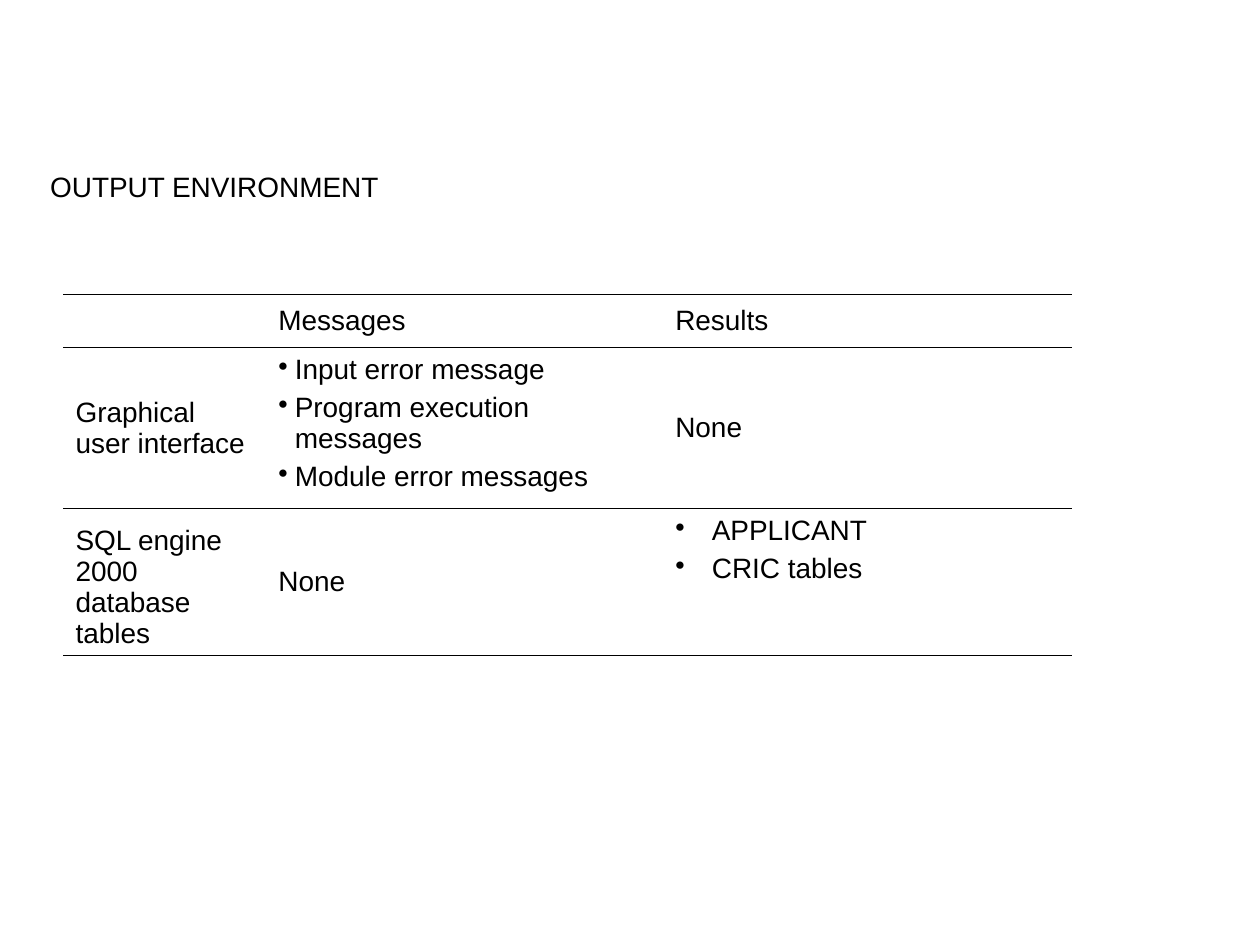
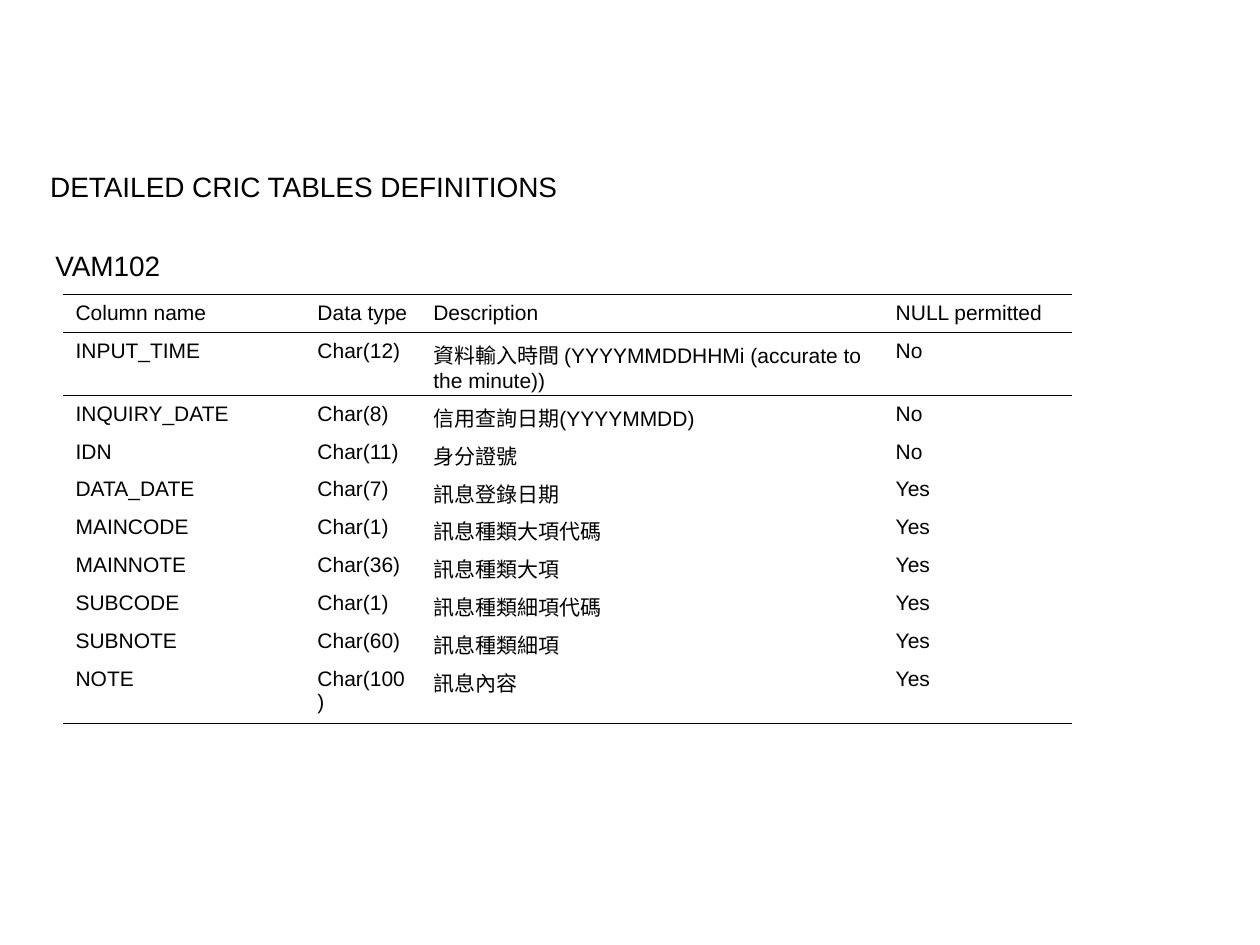
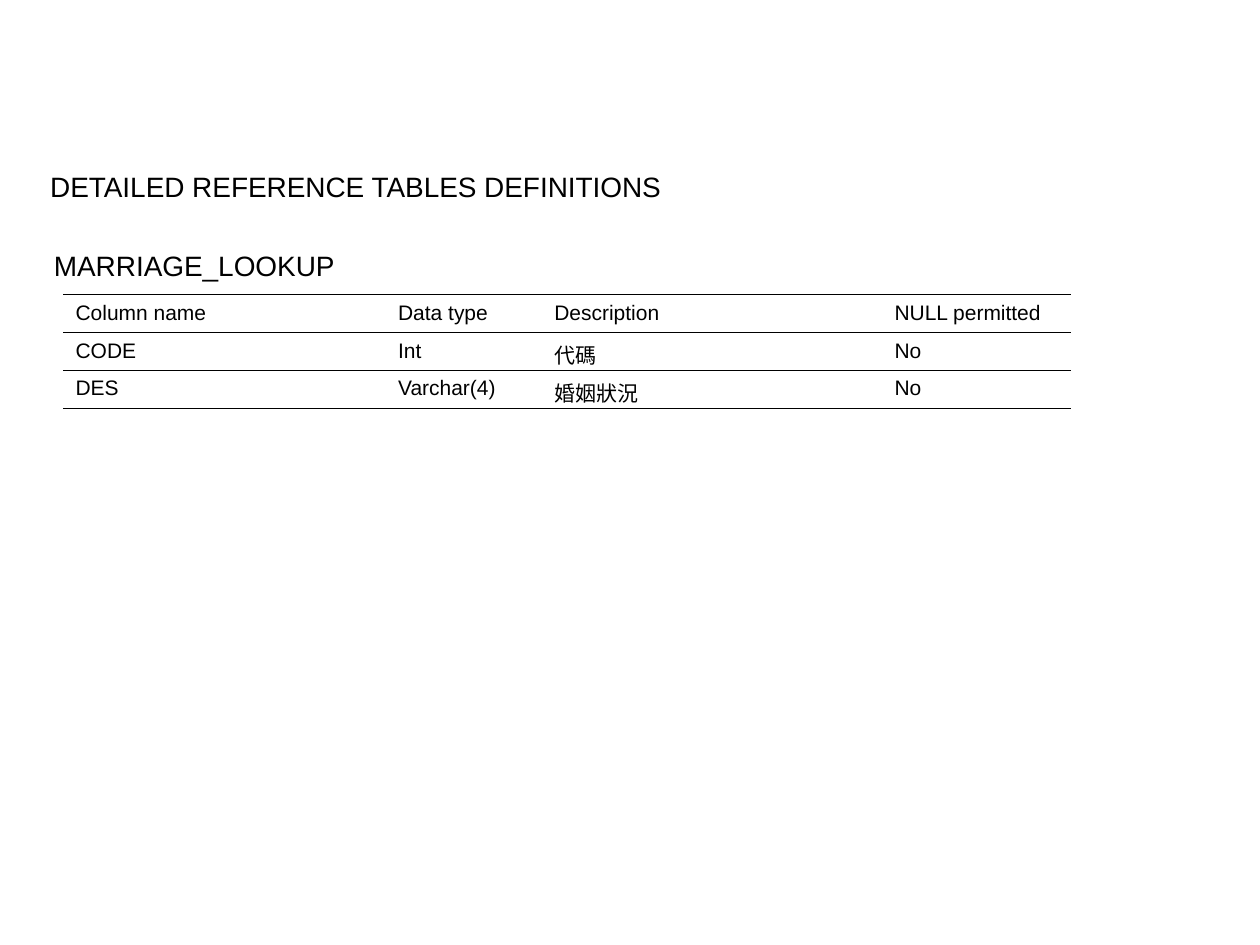
"""Builds three slides of table definitions, each a heading over a ruled table."""
from lxml import etree
from pptx import Presentation, util as u
from pptx.dml.color import RGBColor
from pptx.enum import text
from pptx.oxml import ns

FONT, INK = "Arial", "000000"
HEADING_SIZE, DETAIL_SIZE = 16, 12
OUTER_RULE, HEADER_RULE = 0.75, 0.45
LEFT, TOP, LABEL_HEIGHT = 0.5, 2.34, 0.37
NO_STYLE = "{2D5ABB26-0587-4C30-8999-92F81FD0307C}"
MIDDLE, BOTTOM = text.MSO_ANCHOR.MIDDLE, text.MSO_ANCHOR.BOTTOM


def write(frame, lines, size, bullet_indent=0):
    """Fill a text frame with one paragraph per line, bulleted if indented."""
    for index, line in enumerate(lines):
        para = frame.add_paragraph() if index else frame.paragraphs[0]
        if index:
            para.space_before = u.Pt(4)
        if bullet_indent:
            props = para._p.get_or_add_pPr()
            props.set("marL", str(u.Inches(bullet_indent)))
            props.set("indent", str(-u.Inches(bullet_indent)))
            etree.SubElement(props, ns.qn("a:buChar"), char="•")
        span = para.add_run()
        span.text = line
        span.font.name, span.font.size = FONT, u.Pt(size)
        span.font.color.rgb = RGBColor.from_string(INK)


def rule(cell, sides):
    """Draw horizontal borders on a cell, given as (tag, points) in schema order."""
    props = cell._tc.get_or_add_tcPr()
    for position, (tag, points) in enumerate(sides):
        line = etree.Element(ns.qn(tag), w=str(u.Pt(points)))
        fill = etree.SubElement(line, ns.qn("a:solidFill"))
        etree.SubElement(fill, ns.qn("a:srgbClr"), val=INK)
        props.insert(position, line)


header = ["Column name", "Data type", "Description", "NULL permitted"]
pages = [
    dict(title="OUTPUT ENVIRONMENT", size=HEADING_SIZE,
         columns=[1.61, 3.15, 3.25], heights=[0.42, 1.23, 1.07],
         rows=[
             ["", "Messages", "Results"],
             ["Graphical user interface",
              ["Input error message", "Program execution messages", "Module error messages"],
              "None"],
             ["SQL engine 2000 database tables", "None", ["APPLICANT", "CRIC tables"]],
         ],
         anchors={(0, 1): MIDDLE, (0, 2): MIDDLE, (1, 0): MIDDLE, (1, 2): MIDDLE,
                  (2, 0): BOTTOM, (2, 1): MIDDLE},
         indents={(1, 1): 0.13, (2, 2): 0.29}),
    dict(title="DETAILED CRIC TABLES DEFINITIONS", size=DETAIL_SIZE,
         subtitle=("VAM102", 0.34, 1.05),
         columns=[1.92, 0.92, 3.67, 1.5], heights=[0.3, 0.5] + [0.3] * 7 + [0.5],
         rows=[
             header,
             ["INPUT_TIME", "Char(12)", "資料輸入時間 (YYYYMMDDHHMi (accurate to the minute))", "No"],
             ["INQUIRY_DATE", "Char(8)", "信用查詢日期(YYYYMMDD)", "No"],
             ["IDN", "Char(11)", "身分證號", "No"],
             ["DATA_DATE", "Char(7)", "訊息登錄日期", "Yes"],
             ["MAINCODE", "Char(1)", "訊息種類大項代碼", "Yes"],
             ["MAINNOTE", "Char(36)", "訊息種類大項", "Yes"],
             ["SUBCODE", "Char(1)", "訊息種類細項代碼", "Yes"],
             ["SUBNOTE", "Char(60)", "訊息種類細項", "Yes"],
             ["NOTE", "Char(100)", "訊息內容", "Yes"],
         ]),
    dict(title="DETAILED REFERENCE TABLES DEFINITIONS", size=DETAIL_SIZE,
         subtitle=("MARRIAGE_LOOKUP", 0.33, 2.43),
         columns=[2.56, 1.24, 2.7, 1.5], heights=[0.3] * 3,
         rows=[
             header,
             ["CODE", "Int", "代碼", "No"],
             ["DES", "Varchar(4)", "婚姻狀況", "No"],
         ]),
]

deck = Presentation()
deck.slide_width, deck.slide_height = u.Inches(10), u.Inches(7.5)

for page in pages:
    slide = deck.slides.add_slide(deck.slide_layouts[6])

    labels = [(page["title"], 0.3, 1.3, 9.29, True)]
    if "subtitle" in page:
        name, left, width = page["subtitle"]
        labels.append((name, left, 1.92, width, False))
    for label, left, top, width, wraps in labels:
        box = slide.shapes.add_textbox(
            u.Inches(left), u.Inches(top), u.Inches(width), u.Inches(LABEL_HEIGHT))
        box.text_frame.word_wrap = wraps
        write(box.text_frame, [label], HEADING_SIZE)

    columns, heights, rows = page["columns"], page["heights"], page["rows"]
    holder = slide.shapes.add_table(
        len(rows), len(columns), u.Inches(LEFT), u.Inches(TOP),
        u.Inches(sum(columns)), u.Inches(sum(heights)))
    table = holder.table
    table.first_row = table.horz_banding = False
    table._tbl.tblPr.find(ns.qn("a:tableStyleId")).text = NO_STYLE
    for column, width in zip(table.columns, columns):
        column.width = u.Inches(width)
    for row, height in zip(table.rows, heights):
        row.height = u.Inches(height)

    for r, values in enumerate(rows):
        sides = []
        if r < 2:
            sides.append(("a:lnT", HEADER_RULE if r else OUTER_RULE))
        if r == 0:
            sides.append(("a:lnB", HEADER_RULE))
        if r == len(rows) - 1:
            sides.append(("a:lnB", OUTER_RULE))
        for c, value in enumerate(values):
            cell = table.cell(r, c)
            cell.fill.background()
            rule(cell, sides)
            cell.vertical_anchor = page.get("anchors", {}).get((r, c), text.MSO_ANCHOR.TOP)
            if value:
                lines = [value] if isinstance(value, str) else value
                write(cell.text_frame, lines, page["size"], page.get("indents", {}).get((r, c), 0))

deck.save("out.pptx")
